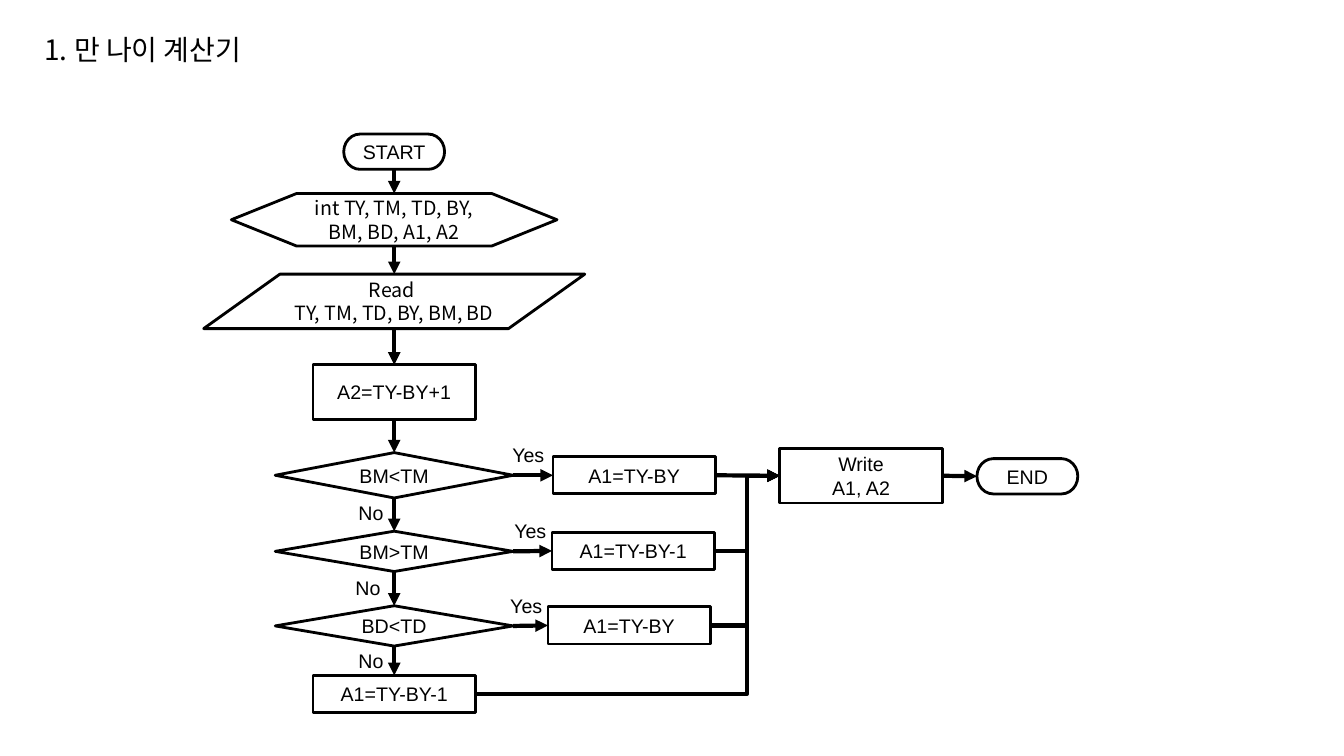
import pptx
import pptx.util
import pptx.dml.color
import pptx.enum.shapes
import pptx.enum.text
import pptx.oxml

Inches = pptx.util.Inches
SHAPES = pptx.enum.shapes.MSO_SHAPE
CONNECTORS = pptx.enum.shapes.MSO_CONNECTOR
ALIGN = pptx.enum.text.PP_ALIGN
ANCHOR = pptx.enum.text.MSO_ANCHOR
BLACK = pptx.dml.color.RGBColor.from_string("000000")
TOP, LEFT, BOTTOM, RIGHT = range(4)
KOREAN = "Noto Sans CJK KR"
NAMESPACE = 'xmlns:a="http://schemas.openxmlformats.org/drawingml/2006/main"'


def write_text(shape, text, font="Arial", size=14, align=ALIGN.CENTER, wrap=True):
    frame = shape.text_frame
    frame.text = text
    frame.word_wrap = wrap
    frame.vertical_anchor = ANCHOR.MIDDLE
    for paragraph in frame.paragraphs:
        paragraph.alignment = align
        for run in paragraph.runs:
            run.font.name = font
            run.font.size = pptx.util.Pt(size)
            run.font.color.rgb = BLACK
            run.font._element.find(pptx.oxml.ns.qn("a:latin")).addnext(
                pptx.oxml.parse_xml(f'<a:ea {NAMESPACE} typeface="{font}"/>'))


def add_arrow(kind, start, end):
    """Draw a black arrow between two (x, y) points given in EMU."""
    arrow = slide.shapes.add_connector(kind, *start, *end)
    arrow.line.color.rgb = BLACK
    arrow.line.width = pptx.util.Pt(3)
    arrow.line._get_or_add_ln().append(
        pptx.oxml.parse_xml(f'<a:tailEnd {NAMESPACE} type="triangle"/>'))
    arrow._element.spPr.append(pptx.oxml.parse_xml(f"<a:effectLst {NAMESPACE}/>"))
    return arrow


presentation = pptx.Presentation()
presentation.slide_width = Inches(13.33)
presentation.slide_height = Inches(7.5)
slide = presentation.slides.add_slide(presentation.slide_layouts[5])

title = slide.shapes.title
title.left, title.top, title.width, title.height = map(Inches, (0.34, 0.27, 2.4, 0.44))
write_text(title, "1. 만 나이 계산기", font=KOREAN, size=20, align=ALIGN.LEFT, wrap=False)

# Steps: key, preset, centre x, top, width, height, text, font
MAIN_X = 3.91
PROCESS = SHAPES.FLOWCHART_PROCESS
steps = [
    ("start", SHAPES.FLOWCHART_TERMINATOR, MAIN_X, 1.33, 1, 0.35, "START", "Arial"),
    ("declare", SHAPES.FLOWCHART_PREPARATION, MAIN_X, 1.92, 3.23, 0.52,
     "int TY, TM, TD, BY, BM, BD, A1, A2", KOREAN),
    ("read", SHAPES.FLOWCHART_DATA, MAIN_X, 2.72, 3.78, 0.54,
     "Read \nTY, TM, TD, BY, BM, BD", KOREAN),
    ("counted age", PROCESS, MAIN_X, 3.62, 1.61, 0.54, "A2=TY-BY+1", "Arial"),
    ("month before", SHAPES.FLOWCHART_DECISION, MAIN_X, 4.49, 2.36, 0.45, "BM<TM", "Arial"),
    ("month after", SHAPES.FLOWCHART_DECISION, MAIN_X, 5.27, 2.36, 0.4, "BM>TM", "Arial"),
    ("day before", SHAPES.FLOWCHART_DECISION, MAIN_X, 6.01, 2.36, 0.4, "BD<TD", "Arial"),
    ("otherwise", PROCESS, MAIN_X, 6.7, 1.61, 0.37, "A1=TY-BY-1", "Arial"),
    ("month before age", PROCESS, 6.29, 4.53, 1.61, 0.37, "A1=TY-BY", "Arial"),
    ("month after age", PROCESS, 6.28, 5.28, 1.61, 0.37, "A1=TY-BY-1", "Arial"),
    ("day before age", PROCESS, 6.24, 6.02, 1.61, 0.37, "A1=TY-BY", "Arial"),
    ("write", PROCESS, 8.54, 4.45, 1.61, 0.54, "Write\nA1, A2", "Arial"),
    ("end", SHAPES.FLOWCHART_TERMINATOR, 10.19, 4.55, 1, 0.35, "END", "Arial"),
]
nodes = {}
sides = {}
for key, preset, center, top, width, height, text, font in steps:
    shape = slide.shapes.add_shape(
        preset, Inches(center - width / 2), Inches(top), Inches(width), Inches(height))
    shape.shadow.inherit = False
    shape.fill.background()
    shape.line.color.rgb = BLACK
    shape.line.width = pptx.util.Pt(2)
    write_text(shape, text, font=font)
    nodes[key] = shape
    middle_x = shape.left + shape.width // 2
    middle_y = shape.top + shape.height // 2
    sides[key] = [(middle_x, shape.top), (shape.left, middle_y),
                  (middle_x, shape.top + shape.height), (shape.left + shape.width, middle_y)]
nodes["declare"].fill.solid()
nodes["declare"].fill.fore_color.rgb = pptx.dml.color.RGBColor.from_string("FFFFFF")

# Straight arrows: down the main column, then across the rows
column = [step[0] for step in steps[:8]]
links = [(upper, BOTTOM, lower, TOP) for upper, lower in zip(column, column[1:])]
links += [(test, RIGHT, f"{test} age", LEFT) for test in column[4:7]]
links += [("month before age", RIGHT, "write", LEFT), ("write", RIGHT, "end", LEFT)]
for source, source_side, target, target_side in links:
    arrow = add_arrow(CONNECTORS.STRAIGHT, sides[source][source_side], sides[target][target_side])
    # The slanted data shape numbers its connection sites differently
    if source != "read":
        arrow.begin_connect(nodes[source], source_side)
    if target != "read":
        arrow.end_connect(nodes[target], target_side)

# Bent arrows that share one vertical trunk
TRUNK_X = Inches(7.41)
for source in ("month after age", "day before age", "otherwise"):
    start, end = sides[source][RIGHT], sides["write"][LEFT]
    arrow = add_arrow(CONNECTORS.ELBOW, start, end)
    bend = round(100000 * (TRUNK_X - start[0]) / (end[0] - start[0]))
    arrow._element.spPr.prstGeom.get_or_add_avLst().append(
        pptx.oxml.parse_xml(f'<a:gd {NAMESPACE} name="adj1" fmla="val {bend}"/>'))

answers = [
    ("Yes", 4.84, 4.24), ("Yes", 4.86, 4.99), ("Yes", 4.82, 5.74),
    ("No", 3.28, 4.82), ("No", 3.25, 5.56), ("No", 3.28, 6.28),
]
for answer, left, top in answers:
    label = slide.shapes.add_shape(PROCESS, Inches(left), Inches(top), Inches(0.8), Inches(0.54))
    label.shadow.inherit = False
    label.fill.background()
    label.line.fill.background()
    write_text(label, answer)

presentation.save("out.pptx")
